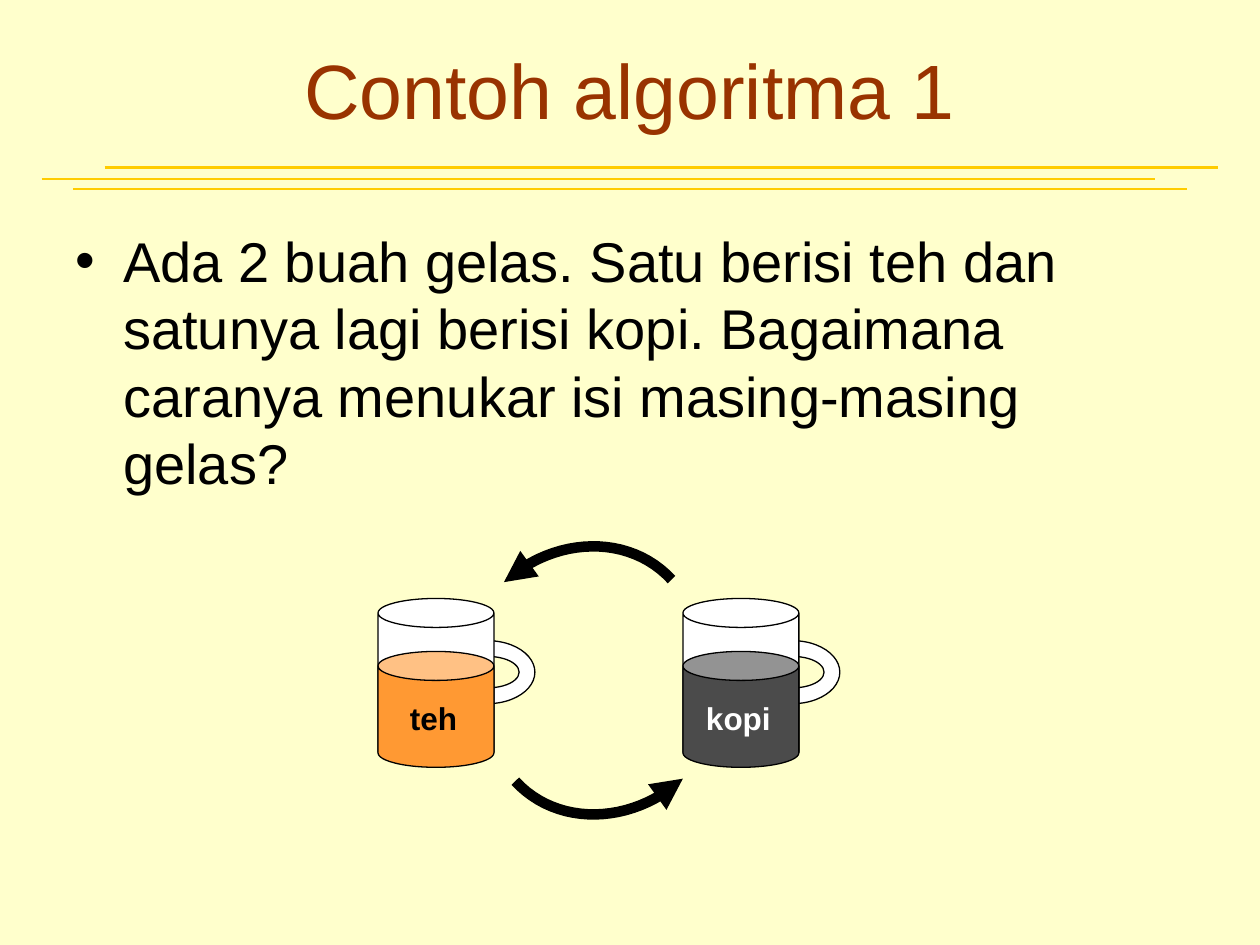
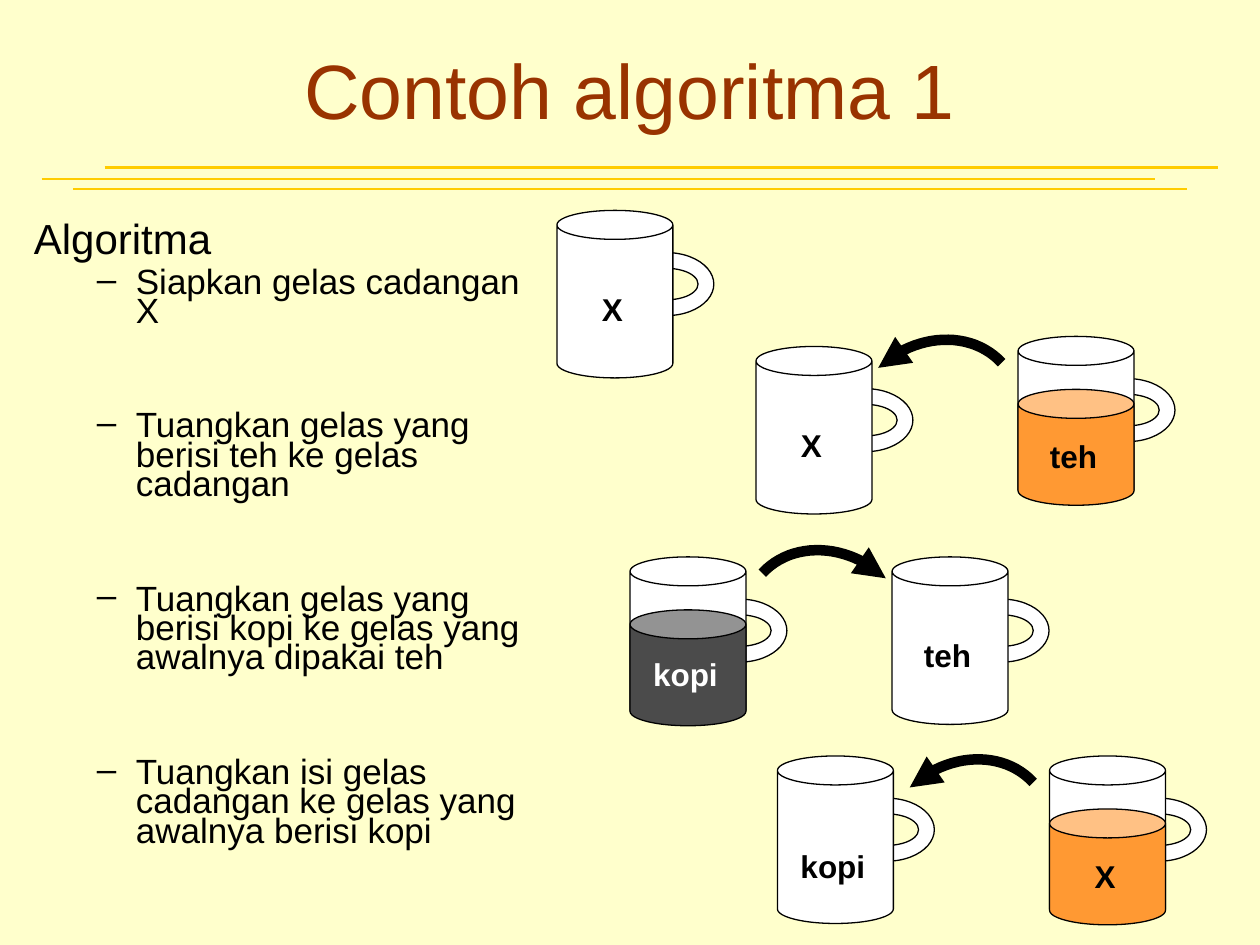
"""Build two slides on swapping the contents of two cups."""
from lxml import etree
from pptx import Presentation
from pptx.dml.color import RGBColor
from pptx.enum.shapes import MSO_CONNECTOR, MSO_SHAPE
from pptx.enum.text import MSO_ANCHOR, MSO_AUTO_SIZE, PP_ALIGN
from pptx.oxml.ns import qn
from pptx.util import Inches, Pt

LINE = MSO_CONNECTOR.STRAIGHT
CAN = MSO_SHAPE.CAN
ARC = MSO_SHAPE.BLOCK_ARC
MID = MSO_ANCHOR.MIDDLE
FIXED = MSO_AUTO_SIZE.NONE
CENTER = PP_ALIGN.CENTER

FONT = "Arial"
COLORS = {"page": "FFFFCC", "rule": "FFCC00", "title": "993300",
          "ink": "000000", "cup": "FFFFFF", "tea": "FF9933", "coffee": "4B4B4B"}
RULES = [(0.33, 1.42), (0.58, 1.5), (0.83, 1.33)]
LONG = [(0, 0), (0.41, -0.37), (1, -0.38), (1.33, -0.02)]
SHORT = [(0, 0), (0.3, -0.28), (0.74, -0.3), (0.98, -0.04)]
STEPS = ["Siapkan gelas cadangan X",
         "Tuangkan gelas yang berisi teh ke gelas cadangan",
         "Tuangkan gelas yang berisi kopi ke gelas yang awalnya dipakai teh",
         "Tuangkan isi gelas cadangan ke gelas yang awalnya berisi kopi"]


def rgb(name):
    return RGBColor.from_string(COLORS[name])


def box(*nums):
    return [Inches(num) for num in nums]


def style(para, size, color="ink", bold=False):
    font = para.font
    font.name, font.size, font.bold = FONT, Pt(size), bold
    font.color.rgb = rgb(color)


def add_slide(prs, title):
    slide = prs.slides.add_slide(prs.slide_layouts[5])
    for left, top in RULES:
        rule = slide.shapes.add_connector(LINE, *box(left, top, left + 8.84, top))
        rule.line.color.rgb = rgb("rule")
        rule.line.width = Pt(1.5)
        etree.SubElement(rule._element.spPr, qn("a:effectLst"))
    head = slide.shapes.title
    head.left, head.top, head.width, head.height = box(0.5, 0.08, 9, 1.25)
    frame = head.text_frame
    frame.text = title
    frame.auto_size = FIXED
    frame.vertical_anchor = MID
    para = frame.paragraphs[0]
    para.alignment = CENTER
    style(para, 44, "title")
    return slide


def add_body(slide, *place):
    frame = slide.shapes.add_textbox(*box(*place)).text_frame
    frame.word_wrap = True
    return frame


def fill_para(para, text, size, mark=None, left=0.38, hang=0.38):
    para.text = text
    props = para._p.get_or_add_pPr()
    props.set("marL", str(Inches(left)))
    props.set("indent", str(-Inches(hang)))
    if mark:
        etree.SubElement(props, qn("a:buFont"), typeface=FONT)
        etree.SubElement(props, qn("a:buChar"), char=mark)
    else:
        etree.SubElement(props, qn("a:buNone"))
    style(para, size)


def add_part(group, kind, color, *place):
    part = group.shapes.add_shape(kind, *box(*place))
    part.shadow.inherit = False
    part.fill.solid()
    part.fill.fore_color.rgb = rgb(color)
    part.line.color.rgb = rgb("ink")
    part.line.width = Pt(0.75)
    return part


def add_cup(slide, left, top, word, drink=None, drop=0.75):
    group = slide.shapes.add_group_shape()
    add_part(group, ARC, "cup", left + 0.62, top + 0.21, 0.5, 0.75).rotation = 90
    add_part(group, CAN, "cup", left, top, 0.92, 1.33)
    if drink:
        add_part(group, CAN, drink, left, top + 0.42, 0.92, 0.92)
    frame = add_body(slide, left, top + drop, 0.88, 0.4)
    frame.text = word
    para = frame.paragraphs[0]
    para.alignment = CENTER
    style(para, 18, "cup" if drink == "coffee" else "ink", True)


def curve(knots, t):
    parts = [(1 - t) ** 3, 3 * t * (1 - t) ** 2, 3 * t * t * (1 - t), t ** 3]
    return [sum(w * knot[axis] for w, knot in zip(parts, knots)) for axis in (0, 1)]


def add_arrow(slide, left, top, knots, flip=1, turn=1):
    points = [box(left + flip * x, top + turn * y)
              for x, y in (curve(knots, i / 24) for i in range(25))]
    path = slide.shapes.build_freeform(*points[0])
    path.add_line_segments(points[1:], close=False)
    arrow = path.convert_to_shape()
    arrow.shadow.inherit = False
    arrow.fill.background()
    arrow.line.color.rgb = rgb("ink")
    arrow.line.width = Pt(6)
    etree.SubElement(arrow.line._get_or_add_ln(), qn("a:headEnd"), type="triangle")


def add_puzzle(prs):
    slide = add_slide(prs, "Contoh algoritma 1")
    frame = add_body(slide, 0.5, 1.75, 9, 2.5)
    fill_para(frame.paragraphs[0], "Ada 2 buah gelas. Satu berisi teh dan satunya lagi "
              "berisi kopi. Bagaimana caranya menukar isi masing-masing gelas?", 32, "•")
    add_cup(slide, 3, 4.75, "teh", "tea")
    add_cup(slide, 5.42, 4.75, "kopi", "coffee")
    add_arrow(slide, 4, 4.62, LONG)
    add_arrow(slide, 5.42, 6.18, LONG, -1, -1)


def add_answer(prs):
    slide = add_slide(prs, "Contoh algoritma 1")
    frame = add_body(slide, 0.17, 1.75, 4.08, 5.58)
    fill_para(frame.paragraphs[0], "Algoritma", 24)
    frame.paragraphs[0].line_spacing = 0.7
    for i, step in enumerate(STEPS):
        para = frame.add_paragraph()
        para.level = 1
        para.line_spacing = 0.7
        para.space_before = Pt(48.5 if i else 5)
        fill_para(para, step, 20, "–", 0.81, 0.31)
    add_cup(slide, 4.42, 1.67, "X", drop=0.58)
    add_cup(slide, 6, 2.75, "X", drop=0.58)
    add_cup(slide, 8.08, 2.67, "teh", "tea")
    add_cup(slide, 5, 4.42, "kopi", "coffee", 0.73)
    add_cup(slide, 7.08, 4.42, "teh", drop=0.58)
    add_cup(slide, 6.17, 6, "kopi", drop=0.67)
    add_cup(slide, 8.33, 6, "X", "tea")
    add_arrow(slide, 6.97, 2.92, SHORT)
    add_arrow(slide, 7.03, 4.59, SHORT, -1)
    add_arrow(slide, 7.22, 6.25, SHORT)


def main():
    prs = Presentation()
    prs.slide_width, prs.slide_height = box(10, 7.5)
    fill = prs.slide_master.background.fill
    fill.solid()
    fill.fore_color.rgb = rgb("page")
    add_puzzle(prs)
    add_answer(prs)
    prs.save("out.pptx")


if __name__ == "__main__":
    main()
